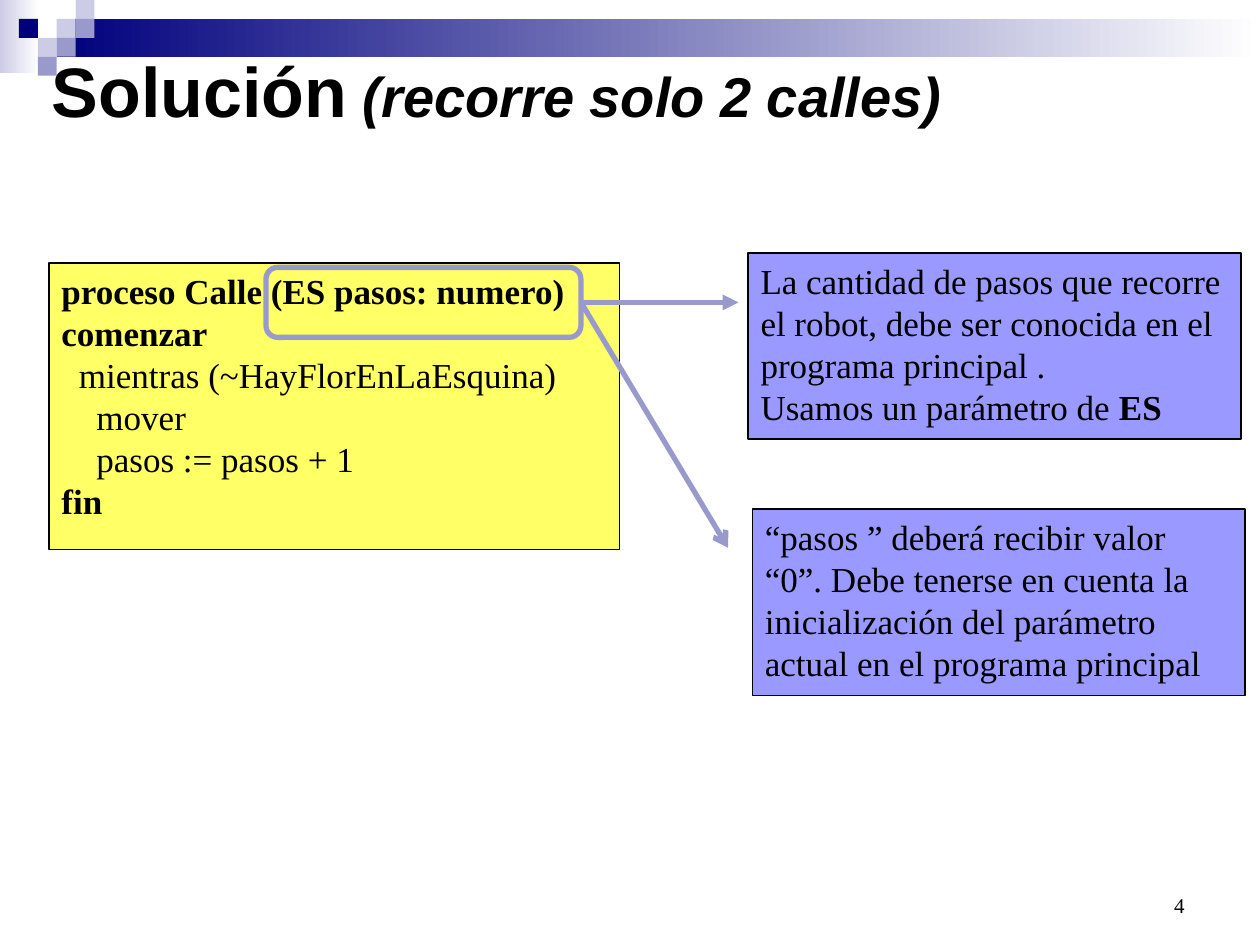
from lxml import etree
from pptx import Presentation
from pptx.dml.color import RGBColor
from pptx.enum.shapes import MSO_CONNECTOR, MSO_SHAPE
from pptx.enum.text import MSO_ANCHOR, PP_ALIGN
from pptx.oxml.ns import qn
from pptx.util import Pt

RECTANGLE = MSO_SHAPE.RECTANGLE
ROUNDED = MSO_SHAPE.ROUNDED_RECTANGLE
STRAIGHT = MSO_CONNECTOR.STRAIGHT
TOP, MIDDLE, BOTTOM = MSO_ANCHOR.TOP, MSO_ANCHOR.MIDDLE, MSO_ANCHOR.BOTTOM
LEFT, RIGHT = PP_ALIGN.LEFT, PP_ALIGN.RIGHT
RIGHT_SIDE = 3

BLACK, NAVY, WHITE = "000000", "00007D", "FFFFFF"
LAVENDER, PALE = "9999CC", "CCCCE6"
YELLOW, VIOLET = "FFFF66", "9999FF"

# Each paragraph is a list of (text, style) runs; style holds "b" and/or "i".
TITLE_SIZES = (40, 32)
TITLE = [[("Solución", "b"), (" ", "b"), ("(recorre solo 2 calles)", "bi")]]
CODE = [
    [("proceso Calle (ES pasos: numero)", "b")],
    [("comenzar", "b")],
    [("  mientras (~HayFlorEnLaEsquina)", "")],
    [("    mover", "")],
    [("    pasos := pasos + 1", "")],
    [("fin", "b")],
]
STEPS_NOTE = [
    [("La cantidad de pasos que recorre el robot, debe ser conocida "
      "en el programa principal .", "")],
    [("Usamos un parámetro de ", ""), ("ES", "b")],
]
START_NOTE = [
    [("“pasos ” deberá recibir valor “0”. Debe tenerse en cuenta la "
      "inicialización del parámetro actual en el programa principal", "")],
]
SLIDE_NUMBER = [[("4", "")]]

NOTE_SIZE = (281.5, 106.5)
BANDS = [((0, 0, 22.5, 42), PALE), ((32.4, 10.8, 687.6, 21.6), NAVY)]
TILE = 10.8
# Column and row of each tile in the corner pattern
TILES = [(3, 1, PALE), (4, 0, PALE), (4, 1, LAVENDER), (2, 2, PALE),
         (1, 1, NAVY), (3, 2, LAVENDER), (2, 3, LAVENDER)]
ARROWS = [((422, 172.8), "triangle"), ((416, 313), "arrow")]


def color(value):
    return RGBColor.from_string(value)


def add_box(slide, box, fill=None, line=None, line_width=1, kind=RECTANGLE):
    shape = slide.shapes.add_shape(kind, *map(Pt, box))
    shape.shadow.inherit = False
    if fill:
        shape.fill.solid()
        shape.fill.fore_color.rgb = color(fill)
    else:
        shape.fill.background()
    if line:
        shape.line.color.rgb = color(line)
        shape.line.width = Pt(line_width)
    else:
        shape.line.fill.background()
    return shape


def add_band(slide, box, start):
    """Add a rectangle that fades from start to white, left to right."""
    shape = add_box(slide, box, fill=start)
    shape.fill.gradient()
    shape.fill.gradient_angle = 0
    for stop, value in zip(shape.fill.gradient_stops, (start, WHITE)):
        stop.color.rgb = color(value)


def write(shape, paragraphs, sizes=(20,), font="Times New Roman", align=LEFT,
          anchor=TOP, right_inset=7.2):
    """Write runs into shape; runs past the end of sizes use its last size."""
    frame = shape.text_frame
    frame.word_wrap = True
    frame.vertical_anchor = anchor
    frame.margin_left, frame.margin_right = Pt(7.2), Pt(right_inset)
    frame.margin_top = frame.margin_bottom = Pt(3.6)
    for index, runs in enumerate(paragraphs):
        paragraph = frame.add_paragraph() if index else frame.paragraphs[0]
        paragraph.alignment = align
        for position, (text, style) in enumerate(runs):
            run = paragraph.add_run()
            run.text = text
            run.font.name = font
            run.font.size = Pt(sizes[min(position, len(sizes) - 1)])
            run.font.bold = "b" in style
            run.font.italic = "i" in style
            run.font.color.rgb = color(BLACK)


def add_arrow(slide, source, end, head):
    connector = slide.shapes.add_connector(STRAIGHT, 0, 0, *map(Pt, end))
    connector.begin_connect(source, RIGHT_SIDE)
    connector.line.color.rgb = color(LAVENDER)
    connector.line.width = Pt(3)
    properties = connector._element.spPr
    etree.SubElement(properties.find(qn("a:ln")), qn("a:tailEnd"), type=head)
    etree.SubElement(properties, qn("a:effectLst"))


def main():
    presentation = Presentation()
    presentation.slide_width, presentation.slide_height = Pt(720), Pt(540)
    slide = presentation.slides.add_slide(presentation.slide_layouts[6])

    for box, start in BANDS:
        add_band(slide, box, start)
    for column, row, fill in TILES:
        add_box(slide, (column * TILE, row * TILE, TILE, TILE), fill=fill)

    title = slide.shapes.add_textbox(*map(Pt, (22.5, 6, 612, 90)))
    write(title, TITLE, sizes=TITLE_SIZES, font="Arial", anchor=MIDDLE)
    number = slide.shapes.add_textbox(*map(Pt, (516, 492, 168, 36)))
    write(number, SLIDE_NUMBER, sizes=(12,), align=RIGHT, anchor=BOTTOM)

    code = add_box(slide, (28, 150.5, 326, 163.5), fill=YELLOW, line=BLACK)
    write(code, CODE)
    parameter = add_box(slide, (152, 152.8, 180, 40), line=LAVENDER,
                        line_width=3, kind=ROUNDED)
    for end, head in ARROWS:
        add_arrow(slide, parameter, end, head)

    steps = add_box(slide, (427.5, 144.5, *NOTE_SIZE), fill=VIOLET, line=BLACK)
    write(steps, STEPS_NOTE)
    start = add_box(slide, (430, 291, *NOTE_SIZE), fill=VIOLET, line=BLACK)
    write(start, START_NOTE, right_inset=12)

    presentation.save("out.pptx")


if __name__ == "__main__":
    main()
